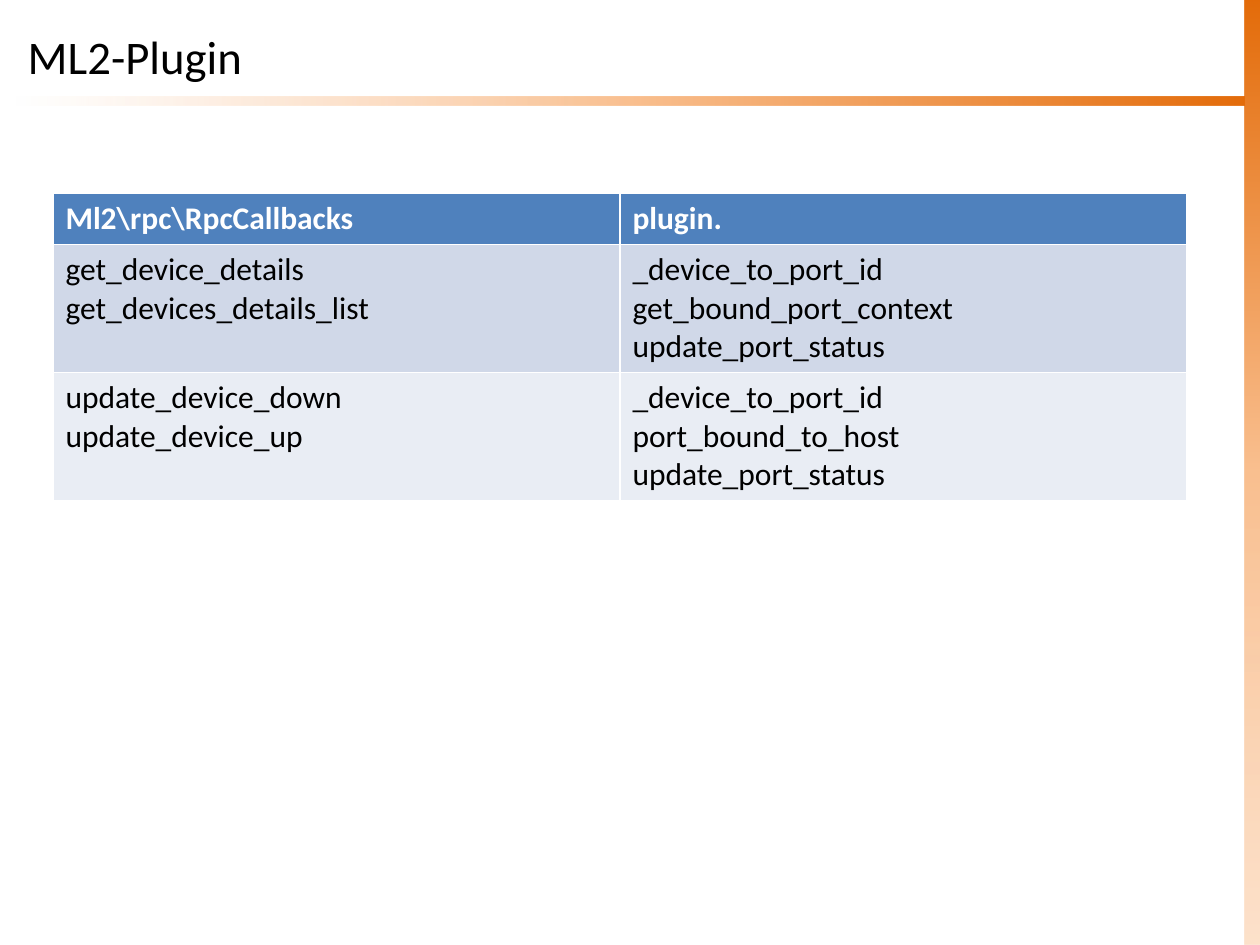
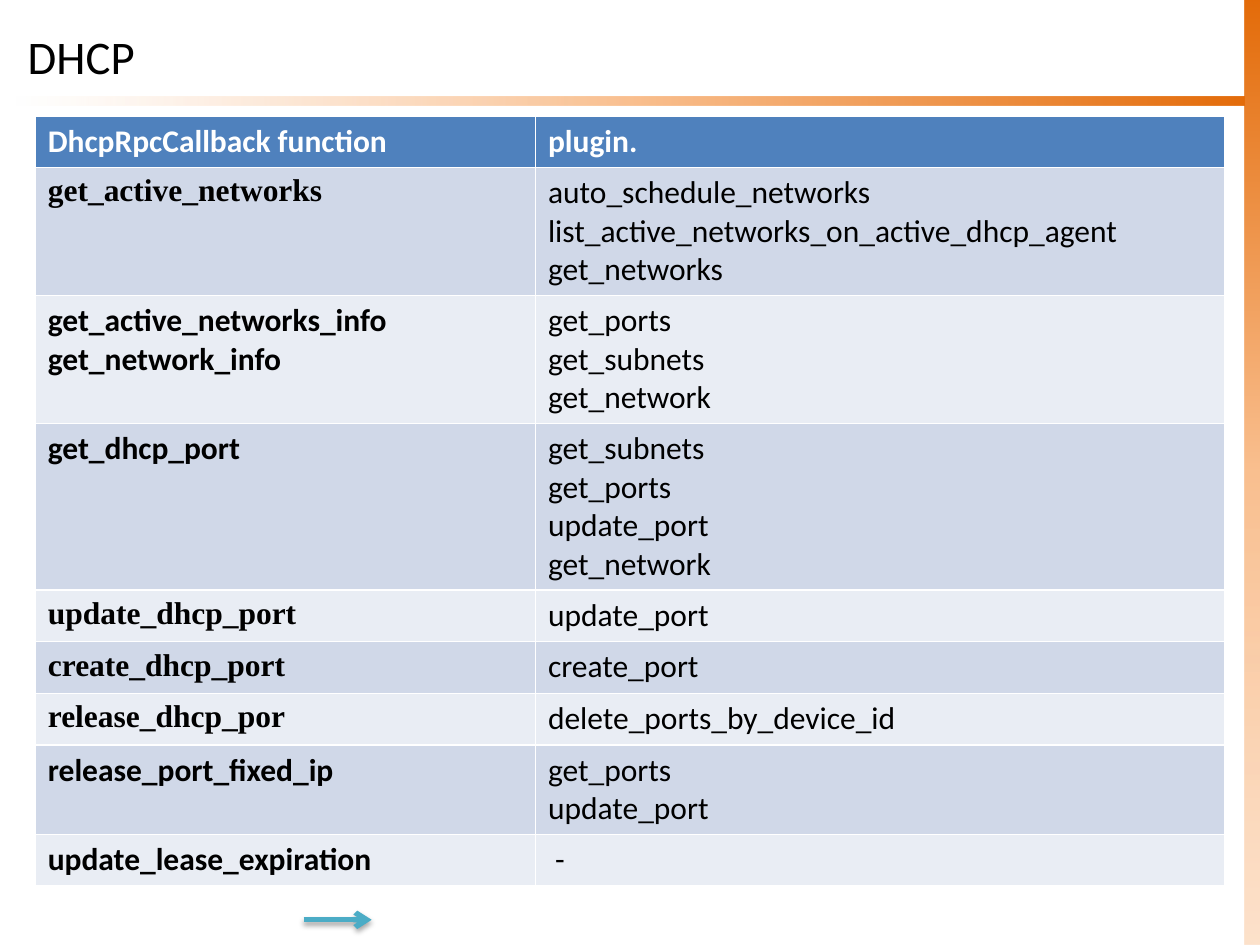
"""Build two slides that map RPC callbacks to the plugin calls behind them."""
from lxml import etree
from pptx import Presentation
from pptx import util as u
from pptx.dml.color import RGBColor
from pptx.enum import shapes, text
from pptx.oxml import parse_xml
from pptx.oxml.ns import nsdecls, qn

WIDTH, HEIGHT = 10, 7.5
SIDE_BAND = 0.12
TITLE_TOP, TITLE_HEIGHT = 0.13, 0.63
RULE_TOP, RULE_HEIGHT = 0.77, 0.07
ROW_HEIGHT = 0.41
INNER_WIDTH = WIDTH - 2 * SIDE_BAND

BLACK = RGBColor(0x00, 0x00, 0x00)
WHITE = RGBColor(0xFF, 0xFF, 0xFF)
HEADER_BLUE = RGBColor(0x4F, 0x81, 0xBD)
ROW_FILLS = (RGBColor(0xD0, 0xD8, 0xE8), RGBColor(0xE9, 0xED, 0xF4))
ARROW_TEAL = RGBColor(0x4B, 0xAC, 0xC6)
ORANGE = RGBColor(0xE4, 0x6C, 0x0A)
PEACH = RGBColor(0xFA, 0xC0, 0x90)
PALE_PEACH = RGBColor(0xFC, 0xD5, 0xB5)

SANS, SERIF = "Calibri", "Times New Roman"

ML2 = {
    "title": "ML2-Plugin",
    "origin": (0.42, 1.53),
    "columns": (4.5, 4.5),
    "bold_names": False,
    "header": ("Ml2\\rpc\\RpcCallbacks", "plugin."),
    "rows": [
        (SANS, ["get_device_details", "get_devices_details_list"],
         ["_device_to_port_id", "get_bound_port_context", "update_port_status"]),
        (SANS, ["update_device_down", "update_device_up"],
         ["_device_to_port_id", "port_bound_to_host", "update_port_status"]),
    ],
}
DHCP = {
    "title": "DHCP",
    "origin": (0.28, 0.92),
    "columns": (3.97, 5.47),
    "bold_names": True,
    "header": ("DhcpRpcCallback function", "plugin."),
    "rows": [
        (SERIF, ["get_active_networks"],
         ["auto_schedule_networks", "list_active_networks_on_active_dhcp_agent",
          "get_networks"]),
        (SANS, ["get_active_networks_info", "get_network_info"],
         ["get_ports", "get_subnets", "get_network"]),
        (SANS, ["get_dhcp_port"],
         ["get_subnets", "get_ports", "update_port", "get_network"]),
        (SERIF, ["update_dhcp_port"], ["update_port"]),
        (SERIF, ["create_dhcp_port"], ["create_port"]),
        (SERIF, ["release_dhcp_por"], ["delete_ports_by_device_id"]),
        (SANS, ["release_port_fixed_ip"], ["get_ports", "update_port"]),
        (SANS, ["update_lease_expiration"], [" -"]),
    ],
}
ARROW = {"start": 2.41, "end": 2.95, "y": 7.3}


def inches(*lengths):
    return [u.Inches(length) for length in lengths]


def style_text(frame, size, color, font=SANS, bold=False):
    for para in frame.paragraphs:
        para.alignment = text.PP_ALIGN.LEFT
        for span in para.runs:
            span.font.name, span.font.size = font, u.Pt(size)
            span.font.bold = bold
            span.font.color.rgb = color


def fill_gradient(shape, stops, angle):
    marks = "".join(
        f'<a:gs pos="{place * 1000}"><a:srgbClr val="{color}">'
        f'<a:alpha val="{opacity * 1000}"/></a:srgbClr></a:gs>'
        for place, color, opacity in stops)
    gradient = parse_xml(
        f'<a:gradFill {nsdecls("a")} rotWithShape="1"><a:gsLst>{marks}</a:gsLst>'
        f'<a:lin ang="{angle * 60000}" scaled="0"/></a:gradFill>')
    shape.element.spPr.find(qn("a:prstGeom")).addnext(gradient)


def add_master_bands(deck, page):
    bands = [
        ((WIDTH - SIDE_BAND, 0, SIDE_BAND, HEIGHT), 90,
         [(0, ORANGE, 100), (50, PEACH, 100), (100, PALE_PEACH, 69)]),
        ((SIDE_BAND, RULE_TOP, INNER_WIDTH, RULE_HEIGHT), 0,
         [(0, PALE_PEACH, 0), (50, PEACH, 100), (100, ORANGE, 100)]),
    ]
    for number, (place, angle, stops) in enumerate(bands, start=20):
        band = page.shapes.add_shape(shapes.MSO_SHAPE.RECTANGLE, *inches(*place))
        band.shadow.inherit = False
        band.line.fill.background()
        fill_gradient(band, stops, angle)
        band.element.nvSpPr.cNvPr.id = number
        deck.slide_master.shapes.element.append(band.element)


def set_title(page, wording):
    title = page.shapes.title
    title.left, title.top, title.width, title.height = inches(
        SIDE_BAND, TITLE_TOP, INNER_WIDTH, TITLE_HEIGHT)
    title.text_frame.text = wording
    title.text_frame.vertical_anchor = text.MSO_ANCHOR.MIDDLE
    style_text(title.text_frame, 26.7, BLACK)


def fill_cell(cell, wording, fill, color, font=SANS, bold=False):
    cell.text = wording
    cell.fill.solid()
    cell.fill.fore_color.rgb = fill
    style_text(cell.text_frame, 18, color, font, bold)


def add_call_table(page, content):
    rows, columns = content["rows"], content["columns"]
    count = len(rows) + 1
    table = page.shapes.add_table(
        count, len(columns),
        *inches(*content["origin"], sum(columns), count * ROW_HEIGHT)).table
    for column, width in zip(table.columns, columns):
        column.width = u.Inches(width)
    for cell, wording in zip(table.rows[0].cells, content["header"]):
        fill_cell(cell, wording, HEADER_BLUE, WHITE, bold=True)
    for index, (font, names, calls) in enumerate(rows):
        fill = ROW_FILLS[index % 2]
        name_cell, call_cell = table.rows[index + 1].cells
        fill_cell(name_cell, "\n".join(names), fill, BLACK, font, content["bold_names"])
        fill_cell(call_cell, "\n".join(calls), fill, BLACK)


def add_arrow(page):
    arrow = page.shapes.add_connector(
        shapes.MSO_CONNECTOR.STRAIGHT,
        *inches(ARROW["start"], ARROW["y"], ARROW["end"], ARROW["y"]))
    arrow.line.color.rgb = ARROW_TEAL
    arrow.line.width = u.Pt(3)
    outline = arrow.element.spPr.find(qn("a:ln"))
    etree.SubElement(outline, qn("a:tailEnd"), type="arrow")
    outline.addnext(parse_xml(
        f'<a:effectLst {nsdecls("a")}><a:outerShdw blurRad="{u.Pt(3.1)}" '
        f'dist="{u.Pt(1.8)}" dir="5400000" rotWithShape="0"><a:srgbClr val="{BLACK}">'
        '<a:alpha val="35000"/></a:srgbClr></a:outerShdw></a:effectLst>'))


def main():
    deck = Presentation()
    deck.slide_width, deck.slide_height = inches(WIDTH, HEIGHT)
    title_only = deck.slide_layouts.get_by_name("Title Only")
    pages = [deck.slides.add_slide(title_only) for _ in (ML2, DHCP)]
    add_master_bands(deck, pages[0])
    for page, content in zip(pages, (ML2, DHCP)):
        set_title(page, content["title"])
        add_call_table(page, content)
    add_arrow(pages[1])
    deck.save("out.pptx")


if __name__ == "__main__":
    main()
